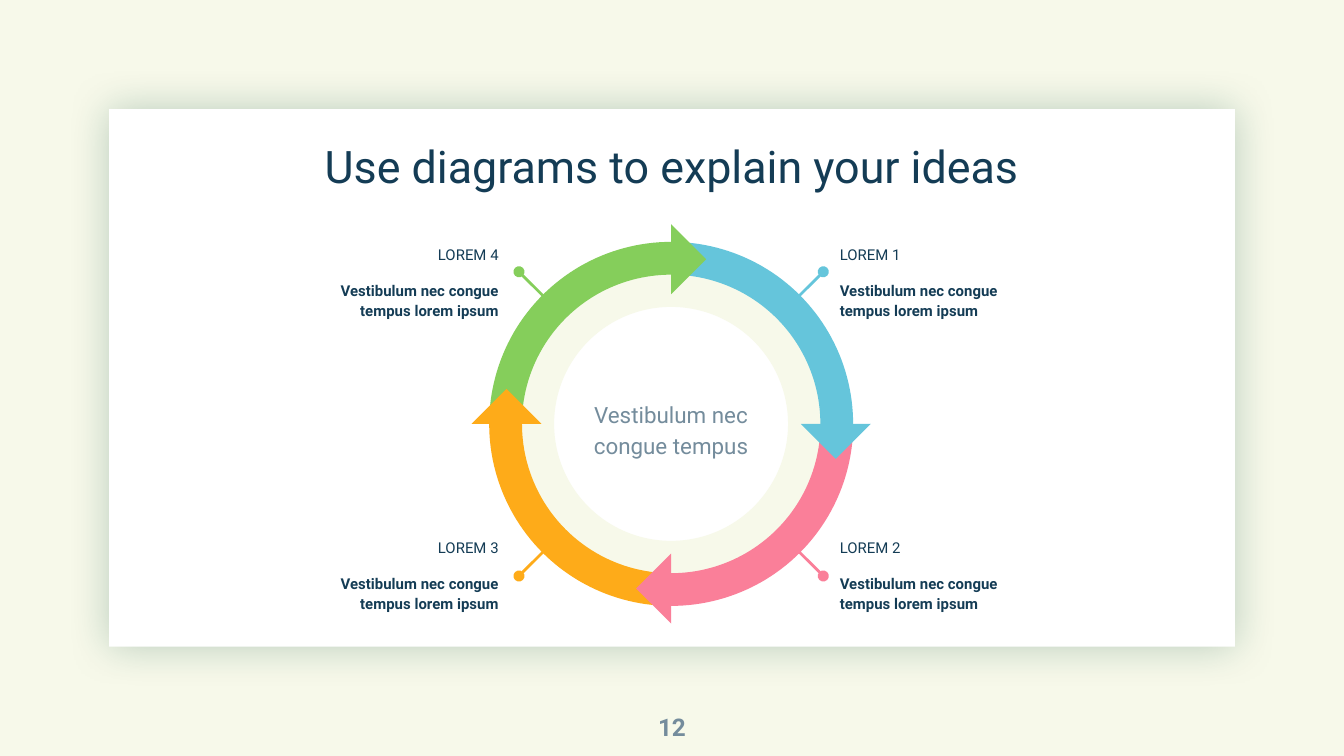
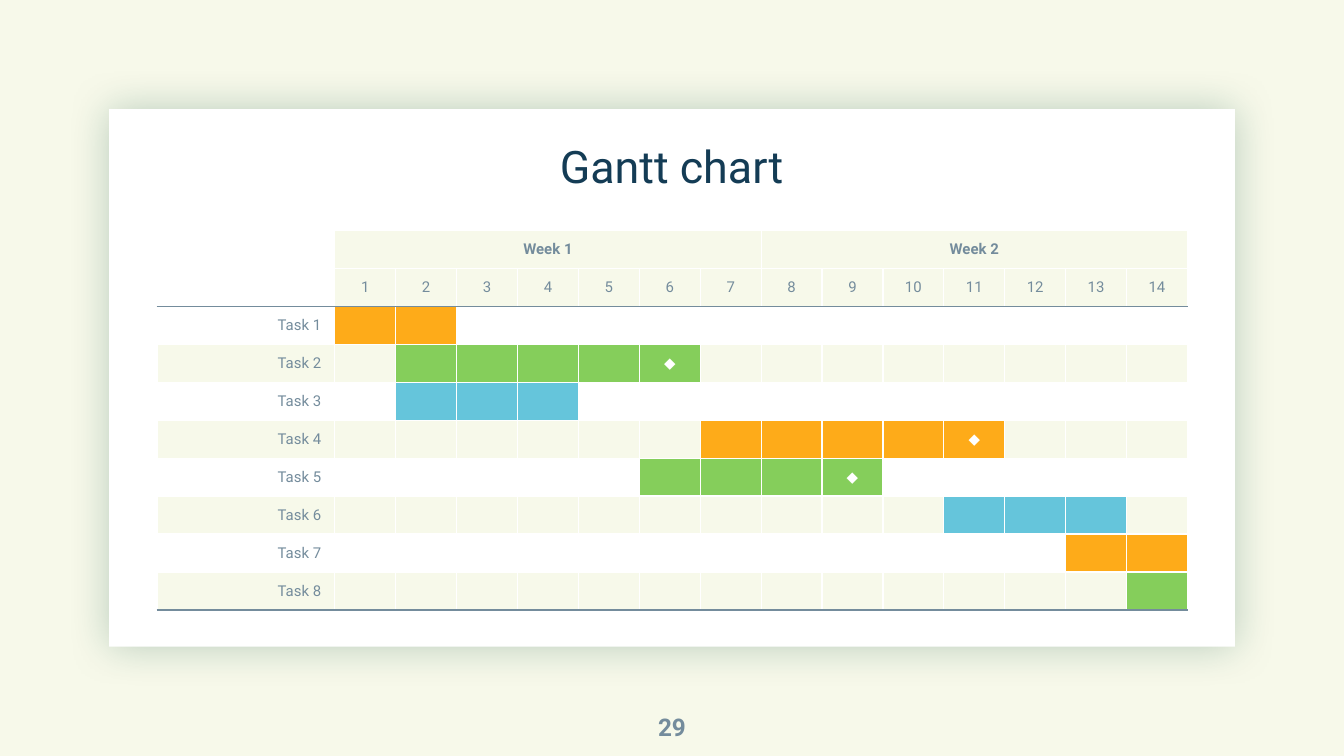
from lxml import etree
from pptx import Presentation
from pptx.dml.color import RGBColor
from pptx.enum import shapes, text
from pptx.oxml import ns
from pptx.util import Pt

CREAM, WHITE, NAVY, SLATE = "F7F9EA", "FFFFFF", "143C55", "748C9C"
GREEN, BLUE, PINK, ORANGE = "85CE5B", "65C5DB", "FA7F99", "FEAB19"
FONT = "Roboto"
LEFT, CENTER, RIGHT = text.PP_ALIGN.LEFT, text.PP_ALIGN.CENTER, text.PP_ALIGN.RIGHT
TOP, MIDDLE, BOTTOM = text.MSO_ANCHOR.TOP, text.MSO_ANCHOR.MIDDLE, text.MSO_ANCHOR.BOTTOM

CALLOUTS = [
    ("LOREM 4", GREEN, -1, -1),
    ("LOREM 3", ORANGE, -1, 1),
    ("LOREM 2", PINK, 1, 1),
    ("LOREM 1", BLUE, 1, -1),
]
ARCS = [
    (GREEN, 330, True, 143.49, 198.72),
    (BLUE, 30, False, 145.46, 199.02),
    (ORANGE, 150, False, 180.42, 17.99),
    (PINK, 210, True, 179.67, 15.3),
]
ARROWHEADS = [
    (GREEN, 0, -1),
    (BLUE, 1, 0),
    (PINK, 0, 1),
    (ORANGE, -1, 0),
]
TASKS = [
    (ORANGE, 1, 2, None),
    (GREEN, 2, 6, 6),
    (BLUE, 2, 4, None),
    (ORANGE, 7, 11, 11),
    (GREEN, 6, 9, 9),
    (BLUE, 11, 13, None),
    (ORANGE, 13, 14, None),
    (GREEN, 14, 14, None),
]
DAYS = 14


def rgb(value):
    return RGBColor.from_string(value)


def sub(parent, tag, **attributes):
    return etree.SubElement(parent, ns.qn(tag), **attributes)


def style(paragraph, size, color, bold=False, align=CENTER, spacing=None):
    paragraph.alignment = align
    if spacing:
        paragraph.line_spacing = spacing
    for run in paragraph.runs:
        run.font.name = FONT
        run.font.size = Pt(size)
        run.font.bold = bold
        run.font.color.rgb = rgb(color)


def add_text(parts, box, lines, size, color, bold=False, align=CENTER,
             spacing=None, anchor=MIDDLE, inset=0):
    frame = parts.add_textbox(*map(Pt, box)).text_frame
    frame.word_wrap = True
    frame.vertical_anchor = anchor
    frame.margin_left = frame.margin_right = Pt(inset)
    frame.margin_top = frame.margin_bottom = Pt(inset)
    frame.text = "\n".join(lines)
    for paragraph in frame.paragraphs:
        style(paragraph, size, color, bold, align, spacing)
    return frame


def add_filled(parts, kind, box, color, rotation=0, adjustments=()):
    shape = parts.add_shape(kind, *map(Pt, box))
    shape.shadow.inherit = False
    shape.fill.solid()
    shape.fill.fore_color.rgb = rgb(color)
    shape.line.fill.background()
    shape.rotation = rotation
    for index, value in enumerate(adjustments):
        shape.adjustments[index] = value
    return shape


def around(x, y, size):
    return x - size / 2, y - size / 2, size, size


def add_page(deck, title, number):
    slide = deck.slides.add_slide(deck.slide_layouts[6])
    slide.background.fill.solid()
    slide.background.fill.fore_color.rgb = rgb(CREAM)
    panel = add_filled(slide.shapes, shapes.MSO_SHAPE.RECTANGLE,
                       (58.5, 58.5, 603, 288), WHITE)
    effects = panel.element.spPr.find(ns.qn("a:effectLst"))
    glow = sub(effects, "a:outerShdw", blurRad=str(Pt(22.5)), dist="0", dir="0",
               algn="ctr", rotWithShape="0")
    sub(sub(glow, "a:srgbClr", val="054C3A"), "a:alpha", val="25000")
    add_text(slide.shapes, (85, 77, 549.5, 26.5), [title], 24, NAVY,
             spacing=0.9, anchor=BOTTOM)
    add_text(slide.shapes, (338.4, 373.9, 43.2, 31), [str(number)], 13, SLATE, bold=True)
    return slide


def add_callout(slide, box, center, heading, color, side, level):
    left, top, width, height = box
    x, y = center
    text_width, text_height = 108.7, 49
    parts = slide.shapes.add_group_shape().shapes
    outer, inner = 81.5, 57
    pin = parts.add_connector(
        shapes.MSO_CONNECTOR.STRAIGHT,
        Pt(x + side * outer), Pt(y + level * outer),
        Pt(x + side * inner), Pt(y + level * inner))
    pin.line.color.rgb = rgb(color)
    pin.line.width = Pt(1.5)
    sub(pin.line._get_or_add_ln(), "a:headEnd", type="oval")
    sub(pin.element.spPr, "a:effectLst")
    text_left = left if side < 0 else left + width - text_width
    text_top = top if level < 0 else top + height - text_height
    frame = add_text(
        parts, (text_left, text_top, text_width, text_height),
        [heading, "Vestibulum nec congue tempus lorem ipsum"], 8, NAVY,
        align=RIGHT if side < 0 else LEFT, spacing=1.15, anchor=TOP, inset=7.2)
    detail = frame.paragraphs[1]
    detail.space_before = Pt(8)
    detail.runs[0].font.bold = True


def add_cycle(slide, box):
    left, top, width, height = box
    x, y = center = left + width / 2 + 1, top + height / 2 + 1
    add_filled(slide.shapes, shapes.MSO_SHAPE.DONUT, around(x, y, 184.3), CREAM,
               adjustments=[0.16])
    for callout in CALLOUTS:
        add_callout(slide, box, center, *callout)
    add_text(slide.shapes, (x - 52.5, y - 27, 105, 58.3), ["Vestibulum nec congue tempus"],
             12, SLATE, spacing=1.15, inset=7.2)
    for color, rotation, flipped, start, end in ARCS:
        arc = add_filled(slide.shapes, shapes.MSO_SHAPE.BLOCK_ARC, around(x, y, 195),
                         color, rotation, (start, end, 0.09))
        if flipped:
            arc.element.spPr.xfrm.set("flipH", "1")
    for quarter, (color, across, down) in enumerate(ARROWHEADS):
        add_filled(slide.shapes, shapes.MSO_SHAPE.RIGHT_TRIANGLE,
                   around(x + across * 88.2, y + down * 88.2, 26.5),
                   color, (225 + 90 * quarter) % 360)


def format_cell(cell, words="", fill=None, color=SLATE, bold=False, align=CENTER,
                above=WHITE, below=WHITE):
    properties = cell._tc.get_or_add_tcPr()
    for side, border in zip("LRTB", (WHITE, WHITE, above, below)):
        line = sub(properties, f"a:ln{side}", w=str(Pt(0.75)))
        sub(sub(line, "a:solidFill"), "a:srgbClr", val=border)
    if fill:
        cell.fill.solid()
        cell.fill.fore_color.rgb = rgb(fill)
    else:
        cell.fill.background()
    cell.vertical_anchor = MIDDLE
    paragraph = cell.text_frame.paragraphs[0]
    if words:
        paragraph.text = words
        style(paragraph, 8, color, bold, align)
    else:
        sub(paragraph._p, "a:endParaRPr", sz="800")


def add_gantt(slide, box):
    left, top, width, height = box
    rows, label_width = len(TASKS) + 2, 95.2
    gantt = slide.shapes.add_table(rows, DAYS + 1, *map(Pt, box)).table
    gantt.first_row = gantt.horz_banding = False
    for row in gantt.rows:
        row.height = Pt(height / rows)
    for day, column in enumerate(gantt.columns):
        column.width = Pt((width - label_width) / DAYS if day else label_width)

    for day in range(DAYS + 1):
        week = f"Week {day // 7 + 1}" if day % 7 == 1 else ""
        fill = CREAM if day else None
        format_cell(gantt.cell(0, day), week, fill, bold=True)
        format_cell(gantt.cell(1, day), str(day or ""), fill, below=SLATE)
    for first in (1, 8):
        gantt.cell(0, first).merge(gantt.cell(0, first + 6))

    for task, (color, start, end, milestone) in enumerate(TASKS, 1):
        band = None if task % 2 else CREAM
        edges = {"above": SLATE if task == 1 else WHITE,
                 "below": SLATE if task == len(TASKS) else WHITE}
        format_cell(gantt.cell(task + 1, 0), f"Task {task}", band, align=RIGHT, **edges)
        for day in range(1, DAYS + 1):
            format_cell(gantt.cell(task + 1, day), "◆" if day == milestone else "",
                        color if start <= day <= end else band, WHITE, **edges)


def main():
    deck = Presentation()
    deck.slide_width, deck.slide_height = Pt(720), Pt(405)
    add_cycle(add_page(deck, "Use diagrams to explain your ideas", 12),
              (165.6, 123.1, 385.9, 206))
    add_gantt(add_page(deck, "Gantt chart", 29), (84.2, 123.3, 552, 203.6))
    deck.save("out.pptx")


if __name__ == "__main__":
    main()
